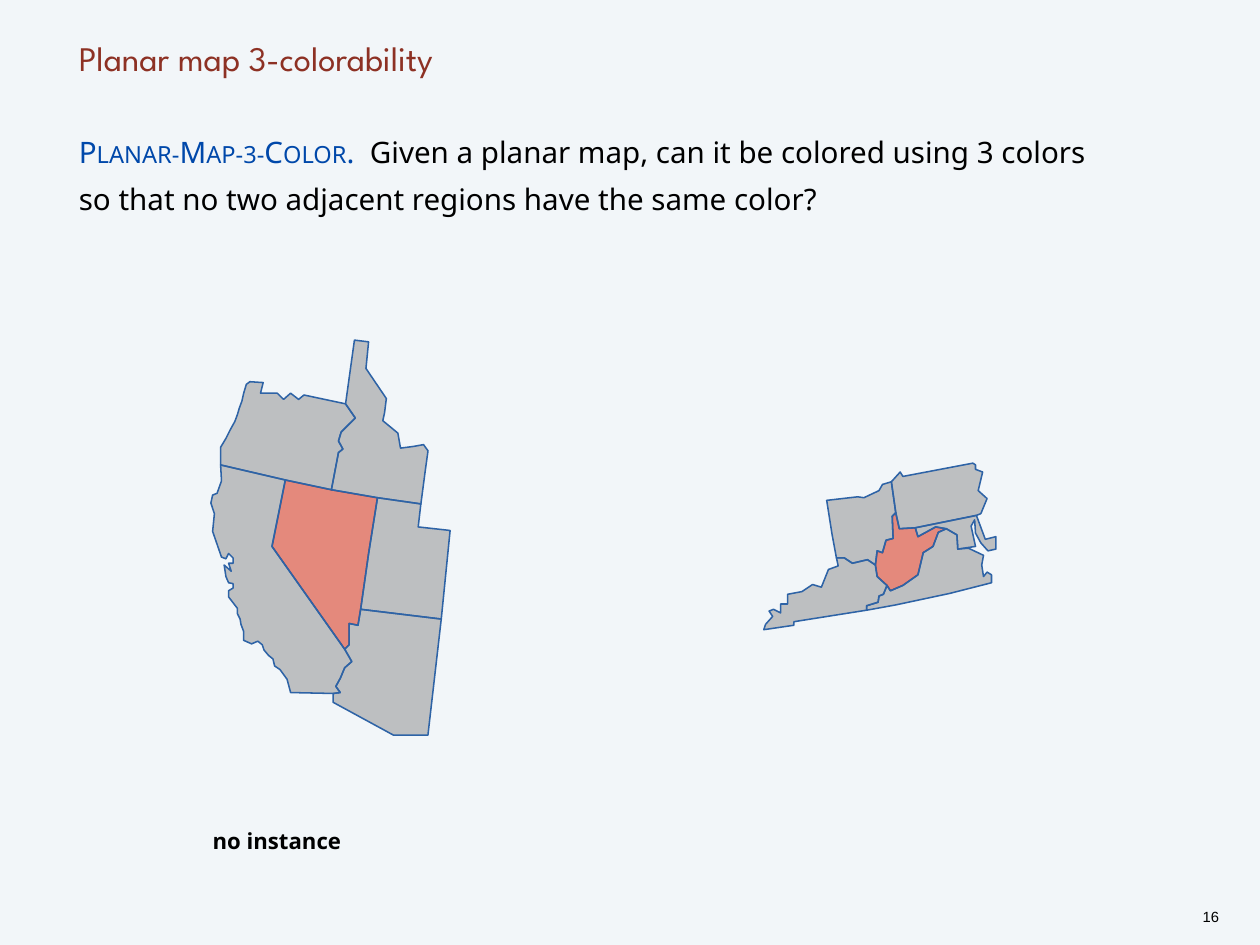
from pptx import Presentation
from pptx import util as u
from pptx.dml.color import RGBColor
from pptx.enum import text
from pptx.oxml.ns import qn
from lxml import etree

BACKGROUND = RGBColor(0xF2, 0xF6, 0xF9)
BROWN = RGBColor(0x8D, 0x31, 0x24)
BLUE = RGBColor(0x00, 0x48, 0xAA)
BLACK = RGBColor(0, 0, 0)
GRAY = RGBColor(0x8A, 0x8A, 0x8A)
RED = RGBColor(0xD8, 0x1E, 0x00)
BORDER = RGBColor(0x2E, 0x63, 0xA6)

prs = Presentation()
prs.slide_width, prs.slide_height = u.Inches(14.22), u.Inches(10.67)
s = prs.slides.add_slide(prs.slide_layouts[6])
s.background.fill.solid()
s.background.fill.fore_color.rgb = BACKGROUND


def add_text(box, runs, spacing, font, inset=0, **frame):
    tf = s.shapes.add_textbox(*map(u.Inches, box)).text_frame
    for side in ("left", "top", "right", "bottom"):
        setattr(tf, f"margin_{side}", u.Inches(inset))
    for name, value in {"word_wrap": True, **frame}.items():
        setattr(tf, name, value)
    p = tf.paragraphs[0]
    p.line_spacing = spacing
    for words, color in runs:
        if words == "\n":
            p.add_line_break()
            continue
        r = p.add_run()
        r.text = words
        r.font.color.rgb = color
        for name, value in font.items():
            setattr(r.font, name, value)
    return p


def add_region(outline, color):
    points = [(u.Inches(x), u.Inches(y)) for x, y in outline]
    builder = s.shapes.build_freeform(*points[0])
    builder.add_line_segments(points[1:], close=True)
    sp = builder.convert_to_shape()
    sp.shadow.inherit = False
    sp.fill.solid()
    sp.fill.fore_color.rgb = color
    clr = sp._element.spPr.find(qn("a:solidFill")).find(qn("a:srgbClr"))
    etree.SubElement(clr, qn("a:alpha")).set("val", "50000")
    sp.line.color.rgb = BORDER
    sp.line.width = u.Pt(1.25)


add_text((0.89, 0, 12.44, 0.89), [("Planar map 3-colorability", BROWN)], u.Pt(38),
         {"name": "League Spartan", "size": u.Pt(28)},
         vertical_anchor=text.MSO_ANCHOR.BOTTOM)

p = add_text((0.89, 1.39, 12.44, 8.94),
             [("Planar-Map-3-Color", BLUE), (".  ", BLUE),
              ("Given a planar map, can it be colored using 3 colors", BLACK), ("\n", BLACK),
              ("so that no two adjacent regions have the same color?", BLACK)],
             u.Pt(38), {"name": "Noto Sans", "size": u.Pt(24)})
p.runs[0].font._element.set("cap", "small")

p = add_text((13.51, 10.22, 0.31, 0.24), [("16", BLACK)], u.Pt(14),
             {"name": "Arial", "size": u.Pt(12)}, inset=0.04, word_wrap=False)
p.alignment = text.PP_ALIGN.CENTER

left_map = {
    "spokes": [
        [(3.22, 5.42), (2.49, 5.25)],
        [(3.74, 5.53), (3.82, 5.11), (3.87, 5.07), (3.82, 4.98), (3.85, 4.88), (4.01, 4.72),
         (3.9, 4.56)],
        [(4.26, 5.62), (4.75, 5.69)],
        [(4.07, 6.88), (4.98, 6.99)],
        [(3.89, 7.33), (3.97, 7.47), (3.89, 7.54), (3.84, 7.66), (3.79, 7.75), (3.84, 7.82),
         (3.76, 7.83)]],
    "hub_sides": [
        [], [], [(4.16, 6.25)], [(4.04, 7.06), (3.94, 7.04), (3.94, 7.28)], [(3.07, 6.17)]],
    "outer_sides": [
        [(2.49, 5.05), (2.55, 4.95), (2.6, 4.85), (2.65, 4.76), (2.68, 4.68), (2.7, 4.61),
         (2.73, 4.53), (2.75, 4.44), (2.78, 4.34), (2.82, 4.31), (2.97, 4.32), (2.94, 4.44),
         (3.13, 4.44), (3.2, 4.51), (3.28, 4.44), (3.37, 4.51), (3.43, 4.46)],
        [(4, 3.84), (4.16, 3.86), (4.13, 4.16), (4.36, 4.5), (4.34, 4.66), (4.32, 4.75),
         (4.49, 4.89), (4.52, 5.06), (4.67, 5.04), (4.78, 5.02), (4.83, 5.09), (4.8, 5.31)],
        [(4.72, 5.95), (5.08, 5.99)],
        [(4.83, 8.3), (4.44, 8.3), (3.76, 7.93)],
        [(3.28, 7.82), (3.24, 7.67), (3.16, 7.56), (3.1, 7.52), (3.08, 7.44), (3.03, 7.4),
         (2.98, 7.34), (2.96, 7.28), (2.91, 7.24), (2.84, 7.27), (2.75, 7.23), (2.75, 7.13),
         (2.72, 7.05), (2.71, 6.99), (2.68, 6.93), (2.68, 6.87), (2.58, 6.74), (2.58, 6.67),
         (2.63, 6.64), (2.63, 6.59), (2.58, 6.58), (2.55, 6.51), (2.53, 6.38), (2.61, 6.45),
         (2.58, 6.36), (2.63, 6.36), (2.63, 6.3), (2.58, 6.25), (2.55, 6.31), (2.5, 6.29),
         (2.4, 6), (2.42, 5.8), (2.38, 5.68), (2.4, 5.59), (2.45, 5.57), (2.5, 5.43)]],
}
right_map = {
    "spokes": [
        [(9.88, 6.38), (9.79, 6.32), (9.62, 6.36), (9.53, 6.3), (9.44, 6.3)],
        [(10.11, 5.79), (10.06, 5.44)],
        [(10.33, 5.96), (11.02, 5.82)],
        [(10.68, 5.97), (10.8, 6.04), (10.81, 6.2)],
        [(10.01, 6.61), (9.97, 6.71), (9.92, 6.73), (9.91, 6.8), (9.78, 6.84), (9.78, 6.89)]],
    "hub_sides": [
        [(9.9, 6.22), (9.96, 6.24), (10, 6.1), (10.08, 6.08), (10.07, 5.83)],
        [(10.15, 5.97)],
        [(10.36, 6.06), (10.56, 5.95)],
        [(10.59, 6.01), (10.53, 6.17), (10.42, 6.24), (10.36, 6.49), (10.19, 6.61),
         (10.05, 6.67)],
        [(9.9, 6.51)]],
    "outer_sides": [
        [(9.39, 6.03), (9.33, 5.65), (9.68, 5.61), (9.75, 5.62), (9.92, 5.54), (9.96, 5.47)],
        [(10.16, 5.33), (10.19, 5.38), (10.98, 5.23), (11.01, 5.25), (11.01, 5.3),
         (11.09, 5.33), (11.04, 5.54), (11.14, 5.63), (11.07, 5.8)],
        [(11.12, 6.09), (11.24, 6.06), (11.24, 6.2), (11.15, 6.22), (11.07, 6.13),
         (11.01, 6.02), (11, 5.87), (10.96, 5.94), (11.01, 6.17)],
        [(10.93, 6.19), (11.1, 6.27), (11.08, 6.38), (11.1, 6.51), (11.14, 6.46),
         (11.19, 6.49), (11.19, 6.58), (10.72, 6.7), (10.11, 6.83)],
        [(8.96, 7.02), (8.96, 7.06), (8.62, 7.11), (8.64, 7.05), (8.72, 6.96), (8.68, 6.9),
         (8.73, 6.88), (8.81, 6.92), (8.81, 6.82), (8.89, 6.82), (8.89, 6.71), (9.05, 6.68),
         (9.17, 6.6), (9.27, 6.63), (9.35, 6.43), (9.46, 6.39)]],
}

for wheel in (left_map, right_map):
    spokes = wheel["spokes"]
    next_spokes = spokes[1:] + spokes[:1]
    hub = []
    for spoke, next_spoke, hub_side, outer_side in zip(
            spokes, next_spokes, wheel["hub_sides"], wheel["outer_sides"]):
        add_region(spoke + outer_side + next_spoke[::-1] + hub_side[::-1], GRAY)
        hub += spoke[:1] + hub_side
    add_region(hub, RED)

add_text((2.4, 9.25, 2.75, 0.29), [("no instance", BLACK)], 1.3,
         {"name": "Noto Sans", "size": u.Pt(18), "bold": True})

prs.save("out.pptx")
